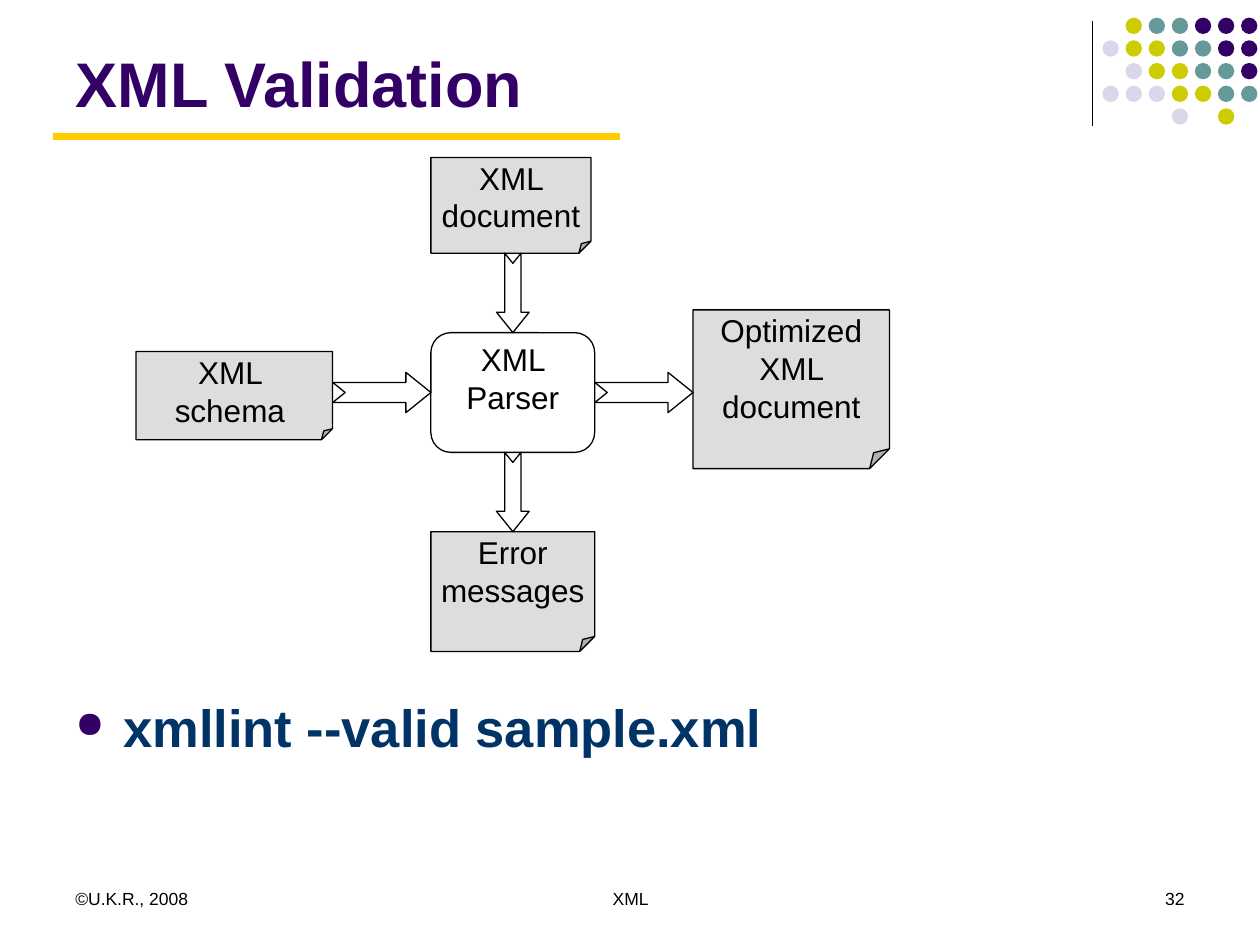
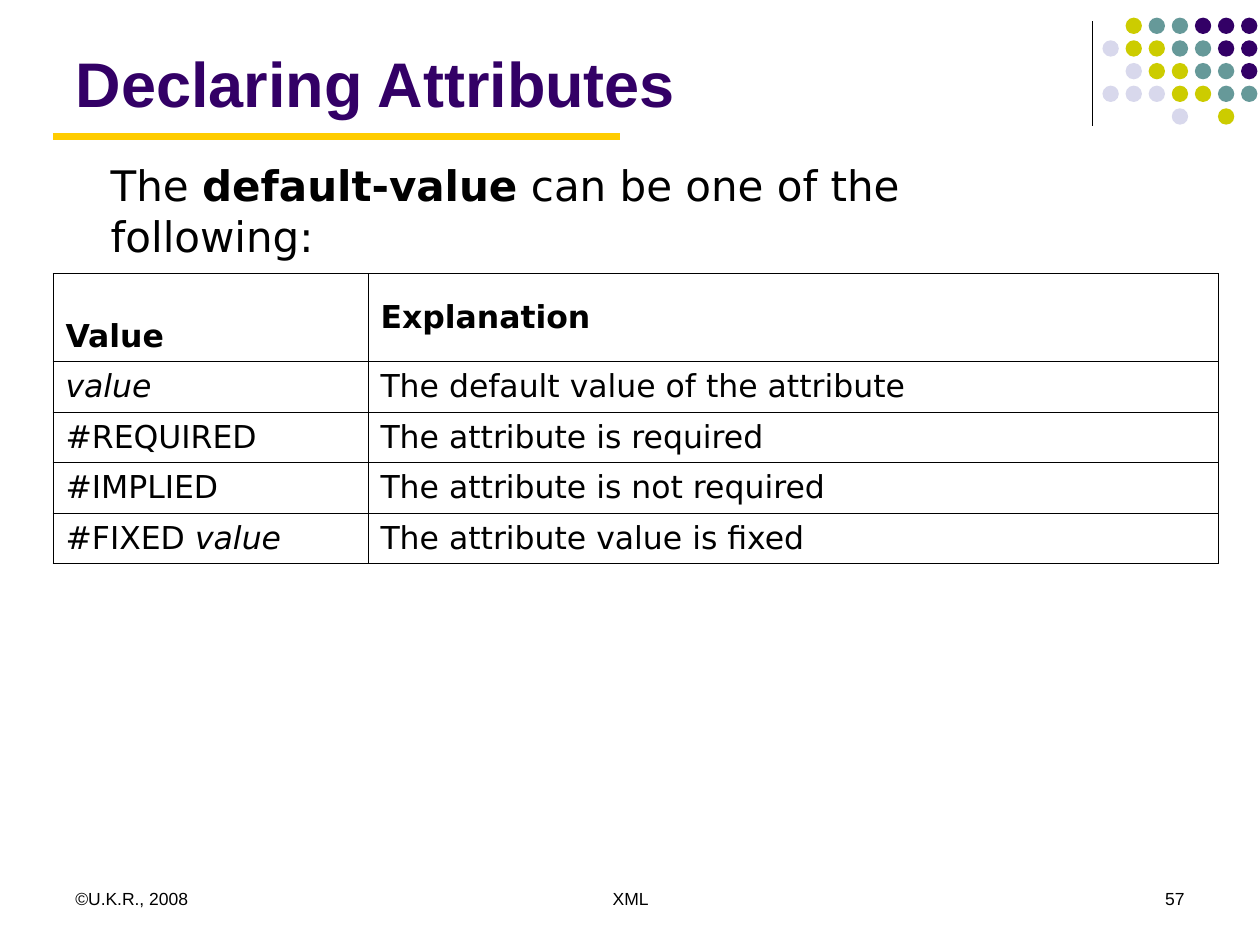
from dataclasses import dataclass

from pptx import Presentation
from pptx.dml.color import RGBColor
from pptx.enum.shapes import MSO_CONNECTOR, MSO_SHAPE
from pptx.enum.text import MSO_ANCHOR, MSO_AUTO_SIZE, PP_ALIGN
from pptx.oxml.ns import qn
from pptx.util import Inches, Pt
from lxml.etree import SubElement, Element


@dataclass(frozen=True)
class Theme:
    black: str = "000000"
    white: str = "FFFFFF"
    purple: str = "330066"
    teal: str = "669999"
    olive: str = "CCCC00"
    lavender: str = "D8D8EC"
    gold: str = "FFCC00"
    navy: str = "003366"
    page_grey: str = "DDDDDD"
    font: str = "Arial"
    table_font: str = "DejaVu Sans"
    title_size: int = 36
    command_size: int = 30
    lead_size: int = 24
    label_size: int = 18
    footer_size: int = 10
    line_width: float = 0.75
    rule_width: float = 4
    border_width: float = 0.34


THEME = Theme()

DOT_ROWS = [".YTTPPP", "LYYTTPP", ".LYYTTP", "LLLYYTT", "...L.Y."]
DOT_COLORS = {"P": THEME.purple, "T": THEME.teal, "Y": THEME.olive, "L": THEME.lavender}

# Each entry is a list of (text, is_italic) runs followed by its explanation.
DEFAULT_VALUES = [
    ([("value", True)], "The default value of the attribute"),
    ([("#REQUIRED", False)], "The attribute is required"),
    ([("#IMPLIED", False)], "The attribute is not required"),
    ([("#FIXED ", False), ("value", True)], "The attribute value is fixed"),
]


def inches(*lengths):
    return [Inches(length) for length in lengths]


def set_font(font, size, color=THEME.black, name=THEME.font, bold=None):
    font.size = Pt(size)
    font.name = name
    font.color.rgb = RGBColor.from_string(color)
    font.bold = bold


def add_line(slide, start, end, color, width):
    line = slide.shapes.add_connector(MSO_CONNECTOR.STRAIGHT, *inches(*start, *end))
    line.line.color.rgb = RGBColor.from_string(color)
    line.line.width = Pt(width)
    SubElement(line._element.spPr, qn("a:effectLst"))


def add_filled_shape(shapes, kind, box, fill, outlined=True):
    shape = shapes.add_shape(kind, *inches(*box))
    shape.shadow.inherit = False
    shape.fill.solid()
    shape.fill.fore_color.rgb = RGBColor.from_string(fill)
    if outlined:
        shape.line.color.rgb = RGBColor.from_string(THEME.black)
        shape.line.width = Pt(THEME.line_width)
    else:
        shape.line.fill.background()
    return shape


def set_adjustments(shape, **values):
    """Write the guides directly, as some presets list none to adjust."""
    guides = shape._element.spPr.find(qn("a:prstGeom")).find(qn("a:avLst"))
    for guide in list(guides):
        guides.remove(guide)
    for name, value in values.items():
        SubElement(guides, qn("a:gd"), name=name, fmla=f"val {round(value * 100000)}")


def add_text_box(slide, box):
    frame = slide.shapes.add_textbox(*inches(*box)).text_frame
    frame.word_wrap = True
    return frame


def add_dots(slide, left, top):
    pitch, diameter = 0.18, 0.13
    dots = slide.shapes.add_group_shape()
    for row, pattern in enumerate(DOT_ROWS):
        for column, key in enumerate(pattern):
            if key in DOT_COLORS:
                box = (left + column * 1.1 / 6, top + row * pitch, diameter, diameter)
                add_filled_shape(dots.shapes, MSO_SHAPE.OVAL, box, DOT_COLORS[key], False)


def add_footer(slide, number):
    fields = [
        (0.5, 2.33, "©U.K.R., 2008", PP_ALIGN.LEFT),
        (3.42, 3.17, "XML", PP_ALIGN.CENTER),
        (7.17, 2.33, str(number), PP_ALIGN.RIGHT),
    ]
    for left, width, text, alignment in fields:
        paragraph = add_text_box(slide, (left, 7, width, 0.5)).paragraphs[0]
        paragraph.text = text
        paragraph.alignment = alignment
        set_font(paragraph.font, THEME.footer_size)


def add_titled_slide(presentation, title, number):
    slide = presentation.slides.add_slide(presentation.slide_layouts[5])
    add_line(slide, (8.67, 0.17), (8.67, 1), THEME.black, THEME.line_width)
    add_dots(slide, 8.75, 0.14)
    add_line(slide, (0.42, 1.08), (4.92, 1.08), THEME.gold, THEME.rule_width)
    add_footer(slide, number)

    shape = slide.shapes.title
    shape.left, shape.top, shape.width, shape.height = inches(0.5, 0.13, 8.25, 0.87)
    frame = shape.text_frame
    frame.auto_size = MSO_AUTO_SIZE.NONE
    frame.vertical_anchor = MSO_ANCHOR.BOTTOM
    paragraph = frame.paragraphs[0]
    paragraph.text = title
    paragraph.alignment = PP_ALIGN.LEFT
    set_font(paragraph.font, THEME.title_size, THEME.purple, bold=True)
    return slide


def add_node(slide, box, lines, kind=MSO_SHAPE.FOLDED_CORNER, fill=THEME.page_grey):
    shape = add_filled_shape(slide.shapes, kind, box, fill)
    set_adjustments(shape, adj=0.125 if kind == MSO_SHAPE.FOLDED_CORNER else 0.167)
    frame = shape.text_frame
    frame.word_wrap = True
    frame.vertical_anchor = MSO_ANCHOR.TOP
    frame.margin_left = frame.margin_right = Inches(0.01)
    frame.margin_top = frame.margin_bottom = Inches(0.01)
    frame.text = "\n".join(lines)
    for paragraph in frame.paragraphs:
        paragraph.alignment = PP_ALIGN.CENTER
        set_font(paragraph.font, THEME.label_size)


def add_flow_arrow(slide, center, length, thickness, rotation=0):
    x, y = center
    box = (x - length / 2, y - thickness / 2, length, thickness)
    arrow = add_filled_shape(slide.shapes, MSO_SHAPE.NOTCHED_RIGHT_ARROW, box, THEME.white)
    set_adjustments(arrow, adj1=0.5, adj2=0.62)
    arrow.rotation = rotation


def add_validation_diagram(slide, left, top):
    """Place the parser with its two inputs and two outputs around it."""
    column, gap_across, gap_down = left + 2.34, 0.78, 0.63
    parser_top, parser_width, parser_height = top + 1.39, 1.3, 0.95
    middle_x, middle_y = column + parser_width / 2, parser_top + parser_height / 2
    parser_right, parser_bottom = column + parser_width, parser_top + parser_height

    add_node(slide, (left, top + 1.54, 1.56, 0.7), ["XML ", "schema "])
    add_node(slide, (column, parser_top, parser_width, parser_height), ["XML Parser"],
             MSO_SHAPE.ROUNDED_RECTANGLE, THEME.white)
    add_node(slide, (column, top, 1.27, 0.76), ["XML document"])
    add_node(slide, (column, parser_bottom + gap_down, parser_width, parser_height),
             ["Error messages"])
    add_node(slide, (parser_right + gap_across, top + 1.21, 1.56, 1.26),
             ["Optimized XML document"])

    for x in (column - gap_across / 2, parser_right + gap_across / 2):
        add_flow_arrow(slide, (x, middle_y), gap_across, 0.32)
    for y in (parser_top - gap_down / 2, parser_bottom + gap_down / 2):
        add_flow_arrow(slide, (middle_x, y), gap_down, 0.26, 90)


def add_command_bullet(slide, box, command):
    frame = add_text_box(slide, box)
    frame.margin_top = Inches(0.1)
    paragraph = frame.paragraphs[0]
    paragraph.text = command
    properties = paragraph._p.get_or_add_pPr()
    properties.set("marL", str(Inches(0.38)))
    properties.set("indent", str(-Inches(0.38)))
    color = SubElement(properties, qn("a:buClr"))
    SubElement(color, qn("a:srgbClr"), val=THEME.purple)
    SubElement(properties, qn("a:buSzPct"), val="70000")
    SubElement(properties, qn("a:buChar"), char="●")
    set_font(paragraph.font, THEME.command_size, THEME.navy, bold=True)


def add_lead_sentence(slide, box):
    frame = add_text_box(slide, box)
    frame.auto_size = MSO_AUTO_SIZE.SHAPE_TO_FIT_TEXT
    frame.vertical_anchor = MSO_ANCHOR.MIDDLE
    paragraph = frame.paragraphs[0]
    set_font(paragraph.font, THEME.lead_size, name=THEME.table_font)
    for text, bold in [("The ", False), ("default-value", True),
                       (" can be one of the following:", False)]:
        run = paragraph.add_run()
        run.text = text
        run.font.bold = bold


def set_cell_borders(cell):
    properties = cell._tc.get_or_add_tcPr()
    for index, side in enumerate(("lnL", "lnR", "lnT", "lnB")):
        border = Element(qn(f"a:{side}"), w=str(Pt(THEME.border_width)))
        fill = SubElement(border, qn("a:solidFill"))
        SubElement(fill, qn("a:srgbClr"), val=THEME.black)
        properties.insert(index, border)


def fill_cell(cell, runs, bold=False):
    cell.fill.background()
    cell.vertical_anchor = MSO_ANCHOR.MIDDLE
    set_cell_borders(cell)
    paragraph = cell.text_frame.paragraphs[0]
    set_font(paragraph.font, THEME.label_size, name=THEME.table_font, bold=bold)
    for text, italic in runs:
        run = paragraph.add_run()
        run.text = text
        run.font.italic = italic


def add_value_table(slide, left, top):
    widths = [2.5, 6.75]
    heights = [0.7] + [0.4] * len(DEFAULT_VALUES)
    table = slide.shapes.add_table(
        len(heights), len(widths), *inches(left, top, sum(widths), sum(heights))).table
    table.first_row = table.horz_banding = False
    for column, width in zip(table.columns, widths):
        column.width = Inches(width)
    for row, height in zip(table.rows, heights):
        row.height = Inches(height)

    rows = [([("Value", False)], "Explanation")] + DEFAULT_VALUES
    for index, (value, explanation) in enumerate(rows):
        fill_cell(table.cell(index, 0), value, bold=index == 0)
        fill_cell(table.cell(index, 1), [(explanation, False)], bold=index == 0)
    table.cell(0, 0).vertical_anchor = MSO_ANCHOR.BOTTOM


def build_validation_slide(presentation):
    slide = add_titled_slide(presentation, "XML Validation", 32)
    add_validation_diagram(slide, 1.08, 1.25)
    add_command_bullet(slide, (0.5, 5.42, 9.33, 0.67), "xmllint --valid sample.xml")


def build_attributes_slide(presentation):
    slide = add_titled_slide(presentation, "Declaring Attributes", 57)
    add_lead_sentence(slide, (0.78, 1.42, 7.51, 0.5))
    add_value_table(slide, 0.42, 2.17)


def main():
    presentation = Presentation()
    presentation.slide_width, presentation.slide_height = inches(10, 7.5)
    build_validation_slide(presentation)
    build_attributes_slide(presentation)
    presentation.save("out.pptx")


if __name__ == "__main__":
    main()
